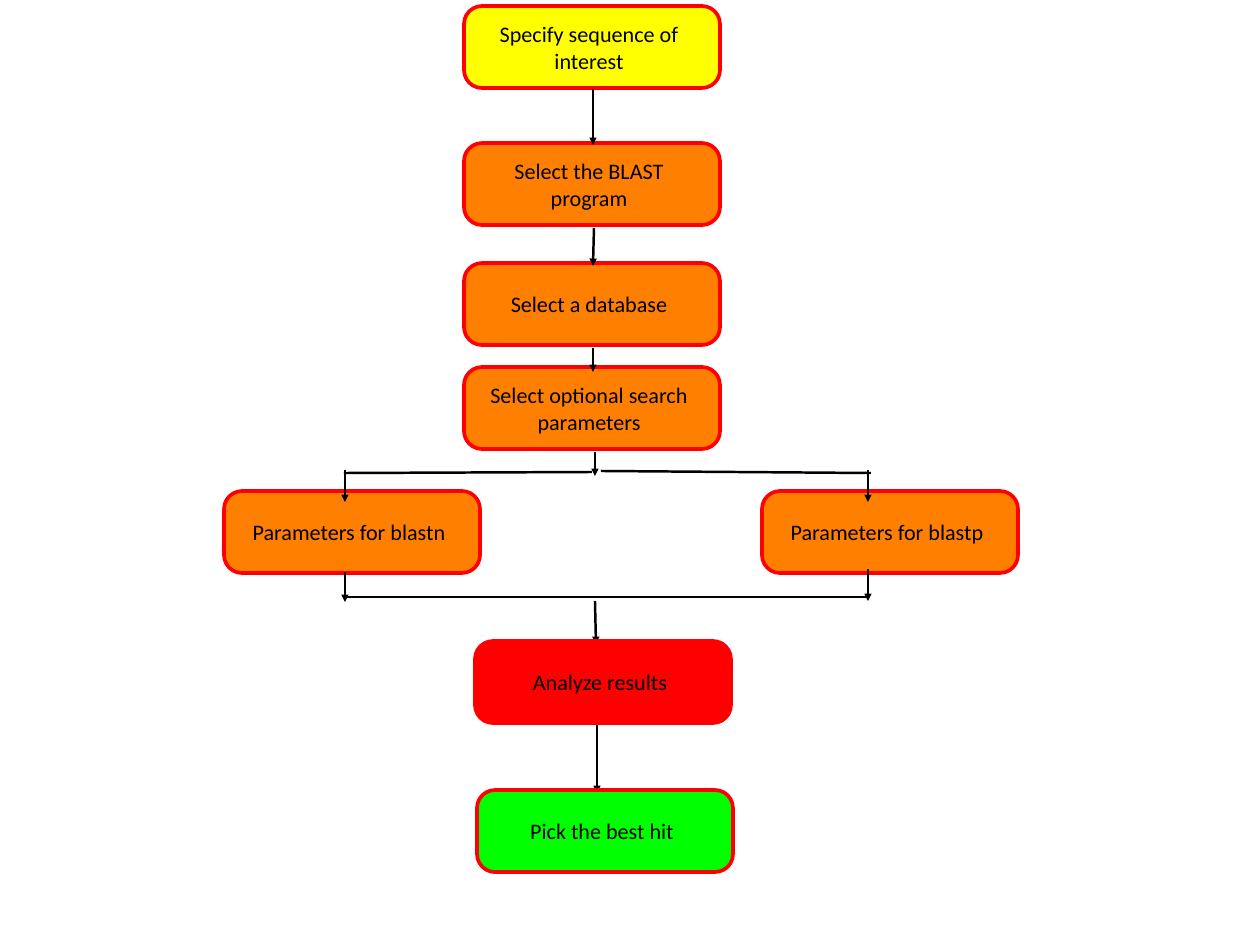
import pptx
import pptx.util
import pptx.dml.color
import pptx.enum.shapes
import pptx.enum.text
import pptx.oxml.ns
from lxml import etree

PX = 914400 / 88.6
COLORS = {"start": "FFFF00", "step": "FF7F00", "analyze": "FF0000",
          "pick": "00FF00", "border": "FF0000", "ink": "000000"}
BOX_W, BOX_H = 256, 82
MAIN_X, BLASTN_X, BLASTP_X = 464, 224, 762

prs = pptx.Presentation()
prs.slide_width, prs.slide_height = round(1260 * PX), round(945 * PX)
s = prs.slides.add_slide(prs.slide_layouts[6])


def add_box(text, x, y, color):
    """Add a rounded step box with centred text."""
    sp = s.shapes.add_shape(pptx.enum.shapes.MSO_SHAPE.ROUNDED_RECTANGLE,
                            *(round(v * PX) for v in (x, y, BOX_W, BOX_H)))
    sp.adjustments[0] = 0.22
    sp.shadow.inherit = False
    sp.fill.solid()
    sp.fill.fore_color.rgb = pptx.dml.color.RGBColor.from_string(COLORS[color])
    sp.line.color.rgb = pptx.dml.color.RGBColor.from_string(COLORS["border"])
    sp.line.width = pptx.util.Pt(3)
    tf = sp.text_frame
    tf.word_wrap = True
    tf.vertical_anchor = pptx.enum.text.MSO_ANCHOR.MIDDLE
    tf.margin_left = tf.margin_top = tf.margin_bottom = round(5 * PX)
    tf.margin_right = round(11 * PX)
    p = tf.paragraphs[0]
    p.text = text
    p.alignment = pptx.enum.text.PP_ALIGN.CENTER
    p.font.name = "Calibri"
    p.font.size = pptx.util.Pt(18)
    p.font.color.rgb = pptx.dml.color.RGBColor.from_string(COLORS["ink"])


def add_line(points, arrow):
    """Add a straight line, with an arrowhead at its end if arrow is true."""
    cn = s.shapes.add_connector(pptx.enum.shapes.MSO_CONNECTOR.STRAIGHT,
                                *(round(v * PX) for v in points))
    cn.line.color.rgb = pptx.dml.color.RGBColor.from_string(COLORS["ink"])
    cn.line.width = pptx.util.Pt(2)
    if arrow:
        etree.SubElement(cn.line._get_or_add_ln(),
                         pptx.oxml.ns.qn("a:tailEnd"), type="triangle")
    etree.SubElement(cn._element.spPr, pptx.oxml.ns.qn("a:effectLst"))


for text, x, y, color in [
    ("Specify sequence of interest", MAIN_X, 6, "start"),
    ("Select the BLAST program", MAIN_X, 143, "step"),
    ("Select a database", MAIN_X, 263, "step"),
    ("Select optional search parameters", MAIN_X, 367, "step"),
    ("Parameters for blastn", BLASTN_X, 491, "step"),
    ("Parameters for blastp", BLASTP_X, 491, "step"),
]:
    add_box(text, x, y, color)

# Arrows down the main column
for points in [(593, 89, 593, 145), (594, 228, 593, 266), (593, 348, 593, 372),
               (595, 452, 595, 476), (595, 601, 596, 644), (597, 721, 597, 793)]:
    add_line(points, True)

# Arrows into and out of the two parameter boxes
for x, exit_top, exit_tip in [(345, 572, 602), (868, 569, 601)]:
    add_line((x, 470, x, 502), True)
    add_line((x, exit_top, x, exit_tip), True)

# Bars that split and rejoin the branches
for points in [(344, 473, 592, 472), (601, 471, 871, 473), (345, 597, 868, 597)]:
    add_line(points, False)

# The last two boxes cover the tips of their arrows
add_box("Analyze results", 475, 641, "analyze")
add_box("Pick the best hit", 477, 790, "pick")

prs.save("out.pptx")
